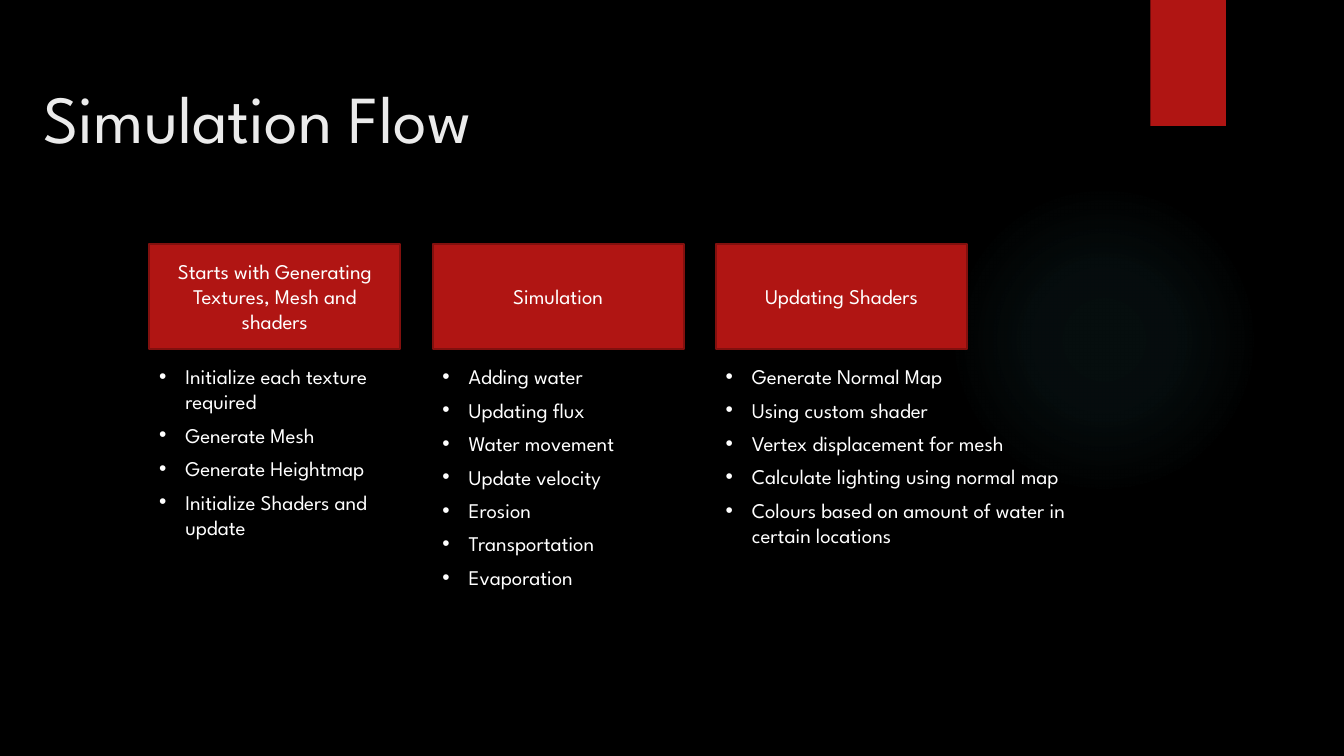
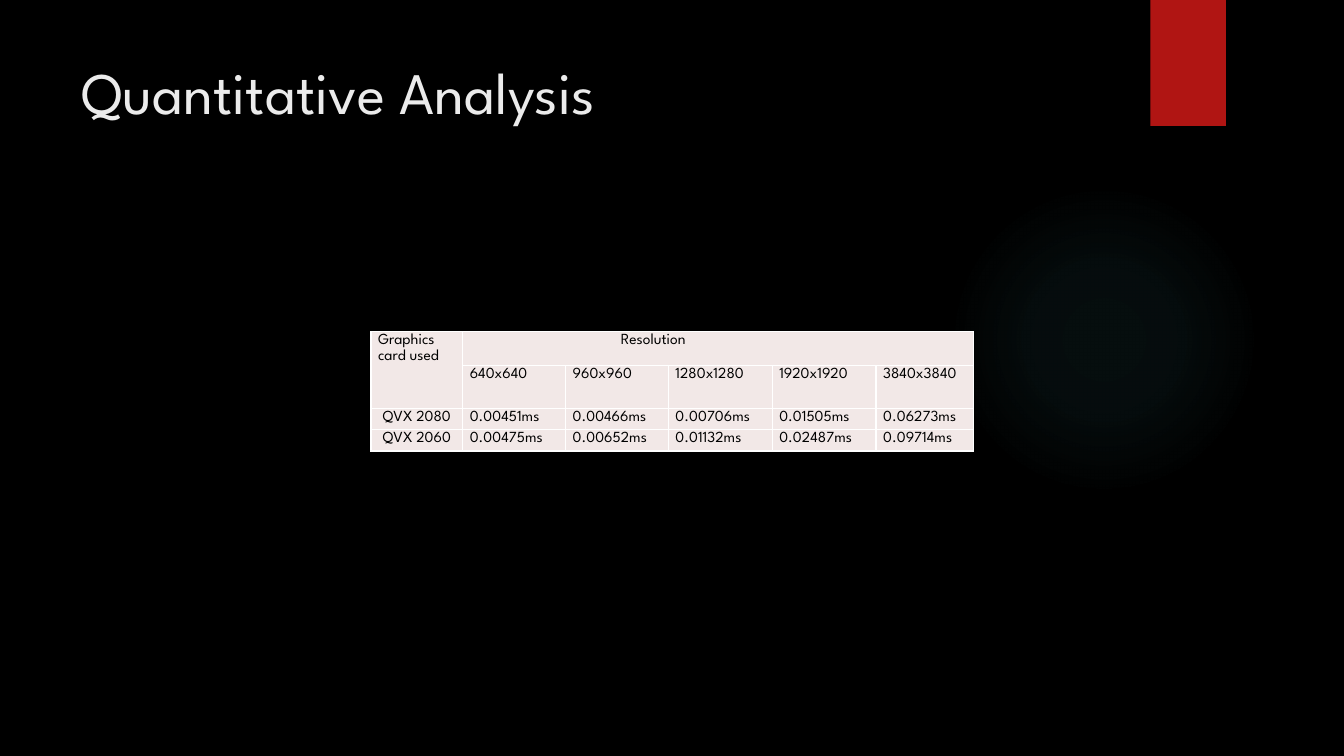
"""Build the simulation flow and quantitative analysis slides."""
from dataclasses import dataclass

from pptx import Presentation, oxml, util as u
from pptx.dml import color
from pptx.enum import shapes, text

NS = 'xmlns:a="http://schemas.openxmlformats.org/drawingml/2006/main"'


@dataclass(frozen=True)
class Theme:
    """Colours, font and type sizes."""
    font: str = "League Spartan"
    ground: str = "000000"
    accent: str = "B01513"
    accent_edge: str = "82100E"
    glow: str = "50B9C1"
    title: str = "EBEBEB"
    body: str = "FFFFFF"
    cell: str = "F2E8E7"
    cell_text: str = "000000"
    grid: str = "FFFFFF"
    body_size: float = 14.9
    cell_size: float = 11


def rgb(value):
    """Turn a hex string into a colour."""
    return color.RGBColor.from_string(value)


def append_xml(parent, markup):
    """Append drawing markup to an element."""
    parent.append(oxml.parse_xml(markup.replace("NS", NS, 1)))


class Deck:
    """Hold the style and the current slide."""

    def __init__(self, theme):
        """Open a wide presentation on a dark ground."""
        self.theme = theme
        self.prs = Presentation()
        self.prs.slide_width = u.Inches(13.33)
        self.prs.slide_height = u.Inches(7.5)
        ground = self.prs.slide_master.background.fill
        ground.solid()
        ground.fore_color.rgb = rgb(theme.ground)
        self.slide = None

    def new_slide(self):
        """Start a slide with the glow and the top tag."""
        self.slide = self.prs.slides.add_slide(self.prs.slide_layouts[6])
        self.glow(9.41, 1.83, 3.08)
        self.block(11.41, 0, 0.75, 1.25)

    def glow(self, left, top, size):
        """Draw a faint round light."""
        light = self.slide.shapes.add_shape(
            shapes.MSO_SHAPE.OVAL, *map(u.Inches, (left, top, size, size)))
        light.shadow.inherit = False
        light.line.fill.background()
        light.fill.gradient()
        gradient = light._element.spPr.gradFill
        for part in list(gradient):
            gradient.remove(part)
        stops = "".join(
            f'<a:gs pos="{place * 1000}"><a:srgbClr val="{self.theme.glow}">'
            f'<a:alpha val="{alpha * 1000}"/></a:srgbClr></a:gs>'
            for place, alpha in ((0, 7), (36, 6), (69, 0)))
        append_xml(gradient, f"<a:gsLst NS>{stops}</a:gsLst>")
        append_xml(gradient, '<a:path NS path="circle"><a:fillToRect '
                             'l="50000" t="50000" r="50000" b="50000"/></a:path>')

    def block(self, left, top, width, height, edge=None):
        """Draw an accent rectangle and return it."""
        block = self.slide.shapes.add_shape(
            shapes.MSO_SHAPE.RECTANGLE, *map(u.Inches, (left, top, width, height)))
        block.shadow.inherit = False
        block.fill.solid()
        block.fill.fore_color.rgb = rgb(self.theme.accent)
        if edge:
            block.line.color.rgb = rgb(edge)
            block.line.width = u.Pt(1.5)
        else:
            block.line.fill.background()
        return block

    def add_words(self, paragraph, words, size, ink):
        """Add one styled run."""
        run = paragraph.add_run()
        run.text = words
        run.font.name = self.theme.font
        run.font.size = u.Pt(size)
        run.font.color.rgb = rgb(ink)

    def text_frame(self, left, top, width, height):
        """Add a wrapping text box and return its frame."""
        frame = self.slide.shapes.add_textbox(
            *map(u.Inches, (left, top, width, height))).text_frame
        frame.word_wrap = True
        return frame

    def title(self, words, place, size, anchor):
        """Add the slide title."""
        frame = self.text_frame(*place)
        frame.vertical_anchor = anchor
        self.add_words(frame.paragraphs[0], words, size, self.theme.title)

    def stage(self, words, left, top, width, height):
        """Draw a stage heading in an edged block."""
        frame = self.block(left, top, width, height, self.theme.accent_edge).text_frame
        frame.word_wrap = True
        frame.vertical_anchor = text.MSO_ANCHOR.MIDDLE
        heading = frame.paragraphs[0]
        heading.alignment = text.PP_ALIGN.CENTER
        heading.space_after = u.Pt(6)
        self.add_words(heading, words, self.theme.body_size, self.theme.body)

    def bullets(self, steps, left, top, width, height):
        """Add a bulleted list."""
        frame = self.text_frame(left, top, width, height)
        for index, step in enumerate(steps):
            item = frame.add_paragraph() if index else frame.paragraphs[0]
            item.space_after = u.Pt(6)
            props = item._p.get_or_add_pPr()
            props.set("marL", str(u.Inches(0.26)))
            props.set("indent", str(-u.Inches(0.26)))
            append_xml(props, '<a:buFont NS typeface="Arial"/>')
            append_xml(props, '<a:buChar NS char="•"/>')
            self.add_words(item, step, self.theme.body_size, self.theme.body)

    def cell(self, cell, words, align=None, tabs=()):
        """Fill, border and label one table cell."""
        cell.margin_left = cell.margin_right = u.Inches(0.07)
        cell.margin_top = cell.margin_bottom = 0
        props = cell._tc.get_or_add_tcPr()
        for side in "LRTB":
            append_xml(props, f'<a:ln{side} NS w="{u.Pt(1)}"><a:solidFill><a:srgbClr '
                              f'val="{self.theme.grid}"/></a:solidFill></a:ln{side}>')
        cell.fill.solid()
        cell.fill.fore_color.rgb = rgb(self.theme.cell)
        line = cell.text_frame.paragraphs[0]
        line.line_spacing = 1.15
        line.alignment = align
        if tabs:
            stops = "".join(f'<a:tab pos="{u.Inches(place)}" algn="{kind}"/>'
                            for place, kind in tabs)
            append_xml(line._p.get_or_add_pPr(), f"<a:tabLst NS>{stops}</a:tabLst>")
        if words:
            self.add_words(line, words, self.theme.cell_size, self.theme.cell_text)

    def timings(self, rows, left, top, widths, heights):
        """Build the timing table with its merged headings."""
        table = self.slide.shapes.add_table(
            len(heights), len(widths), u.Inches(left), u.Inches(top),
            u.Inches(sum(widths)), u.Inches(sum(heights))).table
        table.first_row = table.horz_banding = False
        for column, width in zip(table.columns, widths):
            column.width = u.Inches(width)
        for row, height in zip(table.rows, heights):
            row.height = u.Inches(height)
        for r, row in enumerate(rows):
            for c, words in enumerate(row):
                card = r > 1 and c == 0
                self.cell(table.cell(r, c), words,
                          text.PP_ALIGN.CENTER if card else None,
                          ((1.16, "l"), (1.82, "ctr")) if r == 0 and c == 1 else ())
        table.cell(0, 0).merge(table.cell(1, 0))
        table.cell(0, 1).merge(table.cell(0, len(widths) - 1))


def flow_slide(deck):
    """Show the three stages of the simulation."""
    deck.new_slide()
    deck.title("Simulation Flow", (0.33, 0.31, 11.13, 1.7), 48, text.MSO_ANCHOR.MIDDLE)
    stages = (
        ("Starts with Generating Textures, Mesh and shaders", 2.49, 1.86,
         ("Initialize each texture required", "Generate Mesh",
          "Generate Heightmap", "Initialize Shaders and update")),
        ("Simulation", 2.49, 2.75,
         ("Adding water", "Updating flux", "Water movement", "Update velocity",
          "Erosion", "Transportation", "Evaporation")),
        ("Updating Shaders", 3.76, 2.2,
         ("Generate Normal Map", "Using custom shader",
          "Vertex displacement for mesh", "Calculate lighting using normal map",
          "Colours based on amount of water in certain locations")),
    )
    for index, (heading, list_width, list_height, steps) in enumerate(stages):
        left = 1.48 + index * 2.81
        deck.stage(heading, left, 2.42, 2.49, 1.04)
        deck.bullets(steps, left, 3.56, list_width, list_height)


def analysis_slide(deck):
    """Show the timings by card and resolution."""
    deck.new_slide()
    deck.title("Quantitative Analysis", (0.71, 0.5, 10.29, 1.53), 42, text.MSO_ANCHOR.TOP)
    rows = (
        ("Graphics card used", "\t\tResolution", "", "", "", ""),
        ("", "640x640", "960x960", "1280x1280", "1920x1920", "3840x3840"),
        ("QVX 2080", "0.00451ms", "0.00466ms", "0.00706ms", "0.01505ms", "0.06273ms"),
        ("QVX 2060", "0.00475ms", "0.00652ms", "0.01132ms", "0.02487ms", "0.09714ms"),
    )
    deck.timings(rows, 3.68, 3.29, (0.91, 1.02, 1.02, 1.03, 1.03, 0.97),
                 (0.34, 0.32, 0.16, 0.16))


def main():
    """Build and save the deck."""
    deck = Deck(Theme())
    flow_slide(deck)
    analysis_slide(deck)
    deck.prs.save("out.pptx")


if __name__ == "__main__":
    main()
